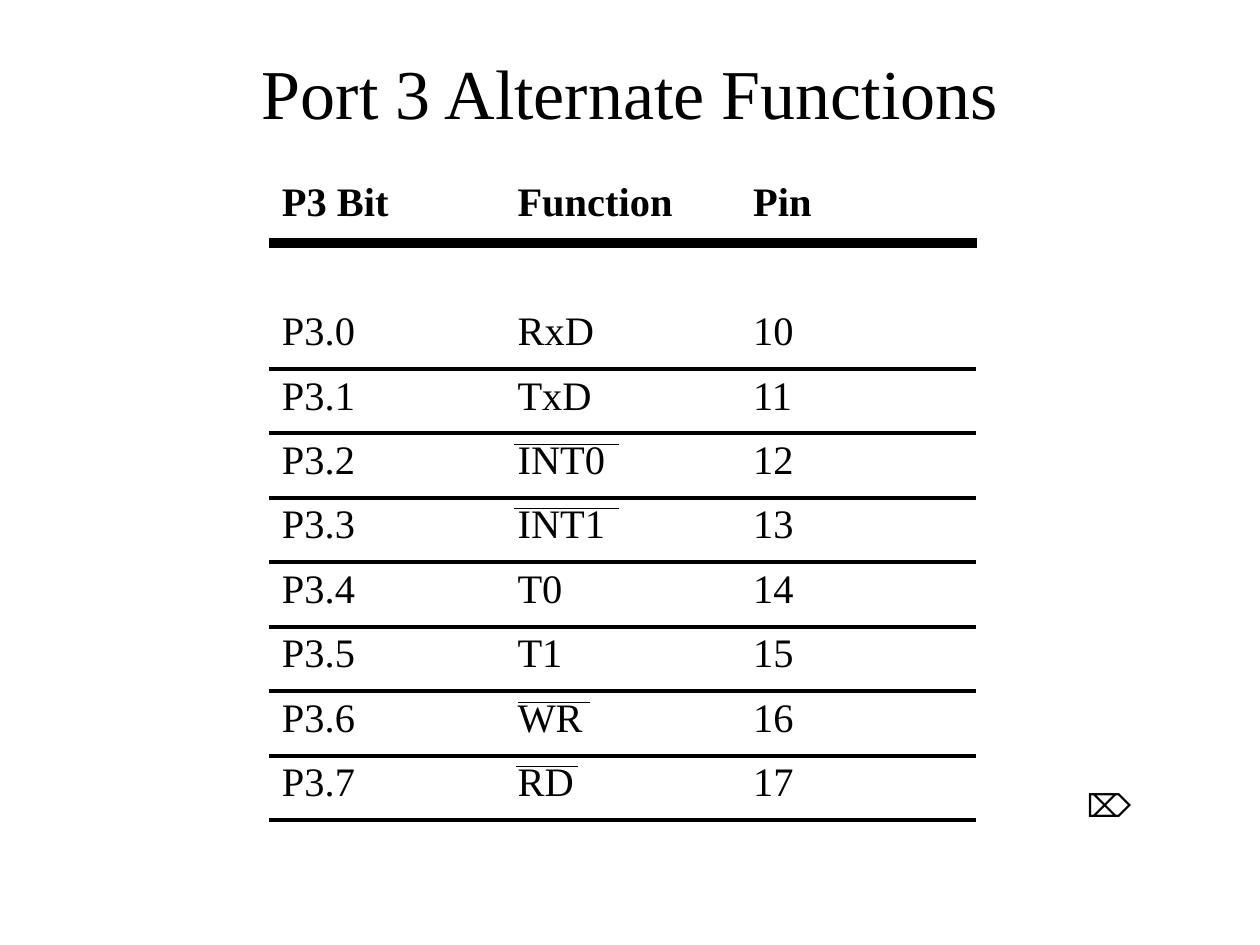
"""Build a slide with the table of Port 3 alternate functions."""
from dataclasses import dataclass

from pptx import Presentation, util as u
from pptx.dml.color import RGBColor
from pptx.enum import shapes, text
from pptx.oxml import parse_xml
from pptx.oxml.ns import nsdecls, qn


@dataclass(frozen=True)
class Theme:
    ink: str = "000000"
    serif: str = "Times New Roman"
    sans: str = "Arial"
    title: float = 40
    cell: float = 23.1
    mark: float = 18
    thin: float = 0.75
    rule: float = 2.25
    thick: float = 5.5
    cell_top: float = 5.3
    no_grid: str = "{2D5ABB26-0587-4C30-8999-92F81FD0307C}"


class SlideBuilder:
    def __init__(self, theme, slide):
        self.theme = theme
        self.slide = slide

    def style(self, p, size, face, bold=False):
        p.font.size = u.Pt(size)
        p.font.name = face
        p.font.bold = bold
        p.font.color.rgb = RGBColor.from_string(self.theme.ink)

    def title(self, words, x, y, w, h):
        sp = self.slide.shapes.title
        sp.left, sp.top, sp.width, sp.height = map(u.Pt, (x, y, w, h))
        tf = sp.text_frame
        tf.text = words
        tf.vertical_anchor = text.MSO_ANCHOR.MIDDLE
        p = tf.paragraphs[0]
        p.alignment = text.PP_ALIGN.CENTER
        self.style(p, self.theme.title, self.theme.serif)

    def label(self, words, x, y, w, h):
        sp = self.slide.shapes.add_textbox(*map(u.Pt, (x, y, w, h)))
        tf = sp.text_frame
        tf.word_wrap = False
        tf.text = words
        self.style(tf.paragraphs[0], self.theme.mark, self.theme.sans)

    def line(self, x1, x2, y, width):
        ends = map(u.Pt, (x1, y, x2, y))
        sp = self.slide.shapes.add_connector(shapes.MSO_CONNECTOR.STRAIGHT, *ends)
        sp.line.width = u.Pt(width)
        sp.line.color.rgb = RGBColor.from_string(self.theme.ink)
        sp.element.spPr.append(parse_xml(f"<a:effectLst {nsdecls('a')}/>"))

    def table(self, rows, x, y, w, heights):
        cols = len(rows[0])
        sp = self.slide.shapes.add_table(
            len(rows), cols, *map(u.Pt, (x, y, w, sum(heights))))
        sp.element.find(f".//{qn('a:tableStyleId')}").text = self.theme.no_grid
        table = sp.table
        table.first_row = table.horz_banding = False
        for col in table.columns:
            col.width = u.Pt(w / cols)
        for i, (row, height) in enumerate(zip(rows, heights)):
            table.rows[i].height = u.Pt(height)
            for cell, words in zip(table.rows[i].cells, row):
                cell.text = words
                cell.margin_top = u.Pt(self.theme.cell_top)
                cell.fill.background()
                p = cell.text_frame.paragraphs[0]
                p.line_spacing = 0.9
                self.style(p, self.theme.cell, self.theme.serif, bold=i == 0)


def main():
    prs = Presentation()
    prs.slide_width, prs.slide_height = u.Pt(720), u.Pt(540)
    theme = Theme()
    s = SlideBuilder(theme, prs.slides.add_slide(prs.slide_layouts[5]))

    functions = ["RxD", "TxD", "INT0", "INT1", "T0", "T1", "WR", "RD"]
    rows = [["P3 Bit", "Function", "Pin"]]
    rows += [[f"P3.{i}", name, str(10 + i)] for i, name in enumerate(functions)]
    left, top, width, row_h = 153.9, 100.1, 404, 36.85
    body_top = top + 2 * row_h

    s.title("Port 3 Alternate Functions", 36, 21.6, 648, 61.2)
    s.table(rows, left, top, width, [2 * row_h] + [row_h] * len(functions))
    for i in range(len(functions)):
        s.line(left, left + width, body_top + (i + 1) * row_h, theme.rule)
    s.line(left, left + width + 0.6, 139, theme.thick)

    overlines = {"INT0": (293.6, 354), "INT1": (293.6, 354),
                 "WR": (295.9, 337.4), "RD": (294.7, 330.5)}
    for name, (x1, x2) in overlines.items():
        y = body_top + functions.index(name) * row_h + 6.4
        s.line(x1, x2, y, theme.thin)

    s.label("⌦", 613.9, 445.7, 39.6, 28.8)
    prs.save("out.pptx")


if __name__ == "__main__":
    main()
